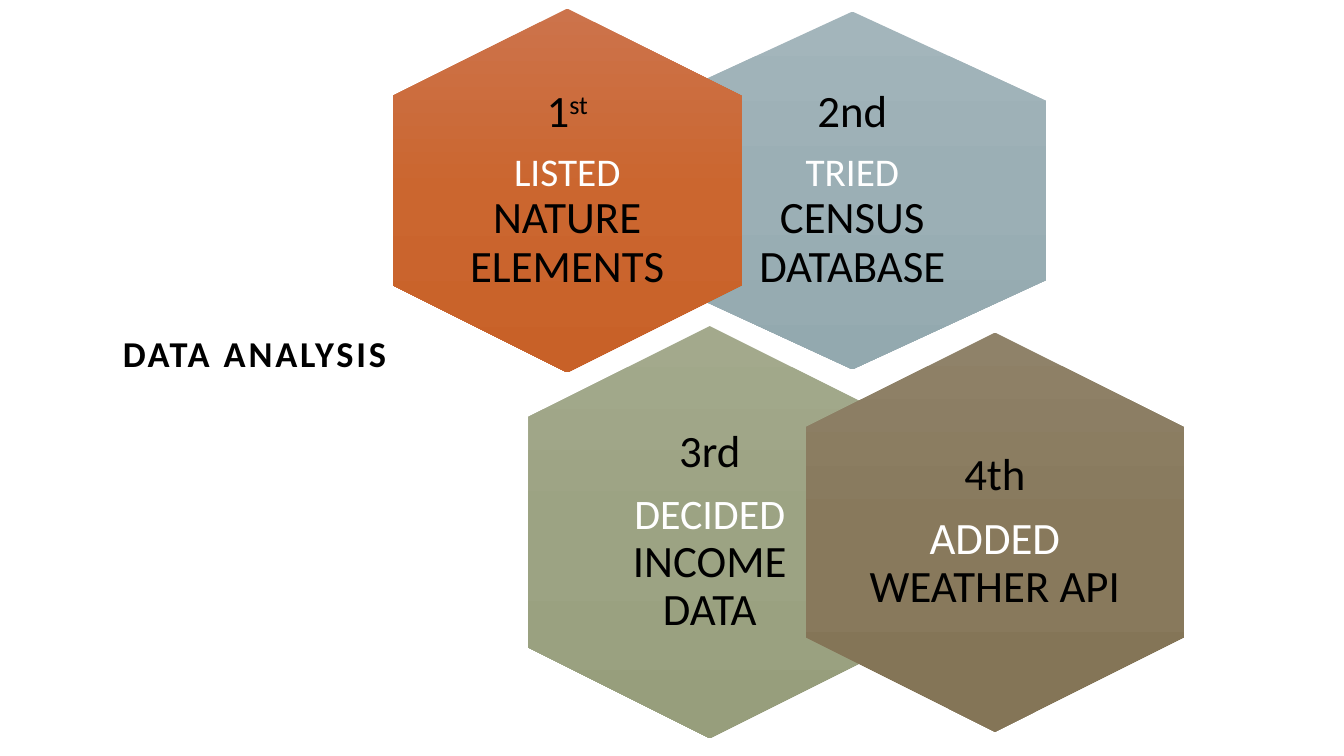
from copy import deepcopy

from pptx import Presentation
from pptx.dml.color import RGBColor
from pptx.enum.shapes import MSO_SHAPE
from pptx.enum.text import MSO_ANCHOR, MSO_AUTO_SIZE, PP_ALIGN
from pptx.oxml.ns import qn
from pptx.util import Inches, Pt

SLIDE_WIDTH, SLIDE_HEIGHT = Inches(13.33), Inches(7.5)
FONT = "Calibri"
COLORS = {
    "white": "FFFFFF",
    "black": "000000",
    "blue": ("A3B5BB", "9BAFB5", "93A9AF"),
    "orange": ("CC734B", "CB662F", "C86128"),
    "green": ("A3A98C", "9CA383", "979E7C"),
    "brown": ("8F8269", "88795C", "847557"),
}

# Honeycomb grid of hexagon centres, as shares of the slide
COLUMN_START, COLUMN_STEP = 0.422, 0.1061
ROW_CENTERS = (0.252, 0.704)

# Sizes are percentages of the slide height: hexagon (length, breadth), text (width, height)
STEPS = [
    {"cell": (2, 0), "color": "blue", "hexagon": (47.33, 51.33), "text": (34.13, 31.6),
     "inset": 0.13, "order": ("2", "nd"), "verb": "TRIED ", "verb_size": 28,
     "subject": "CENSUS DATABASE"},
    {"cell": (0, 0), "color": "orange", "hexagon": (48.13, 46.13), "text": (31.07, 32.4),
     "inset": 0, "order": ("1", "st"), "raised": True, "verb": "LISTED ", "verb_size": 28,
     "subject": "NATURE ELEMENTS"},
    {"cell": (1, 1), "color": "green", "hexagon": (54.53, 48), "text": (32.93, 37.47),
     "inset": 0.13, "order": ("3", "rd"), "verb": "DECIDED ", "verb_size": 30,
     "subject": "INCOME DATA"},
    {"cell": (3, 1), "color": "brown", "hexagon": (52.8, 50), "text": (33.73, 35.6),
     "inset": 0, "order": ("4", "th"), "verb": "ADDED ", "verb_size": 32,
     "subject": "WEATHER API"},
]


def centered_box(center, size):
    """Left, top, width and height of a box around a centre."""
    width, height = (int(SLIDE_HEIGHT * share / 100) for share in size)
    return int(center[0] - width / 2), int(center[1] - height / 2), width, height


def prepare_frame(frame, inset):
    frame.word_wrap = True
    frame.auto_size = MSO_AUTO_SIZE.NONE
    frame.vertical_anchor = MSO_ANCHOR.MIDDLE
    frame.margin_left = frame.margin_right = Inches(inset)
    frame.margin_top = frame.margin_bottom = Inches(inset)


def format_paragraph(paragraph, space_after=0):
    paragraph.alignment = PP_ALIGN.CENTER
    paragraph.line_spacing = 0.9
    paragraph.space_before = Pt(0)
    paragraph.space_after = Pt(space_after)


def format_run(run, size, color):
    run.font.name = FONT
    run.font.size = Pt(size)
    run.font.color.rgb = RGBColor.from_string(COLORS[color])


def add_run(paragraph, text, size, color):
    run = paragraph.add_run()
    run.text = text
    format_run(run, size, color)
    return run


def fill_gradient(shape, colors):
    """Three-stop gradient from top to bottom, whatever the shape's rotation."""
    shape.fill.gradient()
    shape.fill.gradient_angle = 270
    gradient = shape._element.spPr.find(qn("a:gradFill"))
    gradient.set("rotWithShape", "0")
    stop_list = gradient.find(qn("a:gsLst"))
    stop_list.append(deepcopy(stop_list[-1]))
    for index, (stop, color) in enumerate(zip(shape.fill.gradient_stops, colors)):
        stop.position = index / 2
        stop.color.rgb = RGBColor.from_string(color)


def add_title(slide, left, top, width, height):
    title = slide.shapes.title
    title.left, title.top, title.width, title.height = left, top, width, height
    title.line.color.rgb = RGBColor.from_string(COLORS["white"])
    title.line.width = Pt(2.5)
    prepare_frame(title.text_frame, 0.2)
    title.text_frame.text = "DATA ANALYSIS\v"
    paragraph = title.text_frame.paragraphs[0]
    format_paragraph(paragraph)
    for run in paragraph.runs:
        format_run(run, 26, "black")
        run.font.bold = True
        run.font._element.set("spc", "200")
    # The closing line break takes the same size as the words
    break_format = paragraph._p.find(qn("a:br")).get_or_add_rPr() if hasattr(
        paragraph._p.find(qn("a:br")), "get_or_add_rPr") else None
    if break_format is None:
        line_break = paragraph._p.find(qn("a:br"))
        line_break.append(deepcopy(paragraph.runs[0].font._element))
    paragraph.font.size = Pt(26)


def add_step(group, center, step):
    # Hexagon standing on its point
    hexagon = group.shapes.add_shape(MSO_SHAPE.HEXAGON, *centered_box(center, step["hexagon"]))
    hexagon.adjustments[0], hexagon.adjustments[1] = 0.25, 1.1547
    hexagon.rotation = 90
    hexagon.shadow.inherit = False
    hexagon.line.fill.background()
    fill_gradient(hexagon, COLORS[step["color"]])

    # Ordinal above the description
    label = group.shapes.add_textbox(*centered_box(center, step["text"]))
    prepare_frame(label.text_frame, step["inset"])
    ordinal = label.text_frame.paragraphs[0]
    description = label.text_frame.add_paragraph()
    for paragraph in (ordinal, description):
        format_paragraph(paragraph, space_after=11)
    number, suffix = step["order"]
    if step.get("raised"):
        add_run(ordinal, number, 32, "black")
        add_run(ordinal, suffix, 32, "black").font._element.set("baseline", "30000")
    else:
        add_run(ordinal, number + suffix, 32, "black")
    add_run(description, step["verb"], step["verb_size"], "white")
    add_run(description, step["subject"], 32, "black")


def add_honeycomb(slide):
    group = slide.shapes.add_group_shape()
    for step in STEPS:
        column, row = step["cell"]
        center = (SLIDE_WIDTH * (COLUMN_START + COLUMN_STEP * column),
                  SLIDE_HEIGHT * ROW_CENTERS[row])
        add_step(group, center, step)


def main():
    presentation = Presentation()
    presentation.slide_width, presentation.slide_height = SLIDE_WIDTH, SLIDE_HEIGHT
    slide = presentation.slides.add_slide(presentation.slide_layouts[5])
    slide.background.fill.solid()
    slide.background.fill.fore_color.rgb = RGBColor.from_string(COLORS["white"])
    add_title(slide, Inches(0.7), Inches(2.93), Inches(3.68), Inches(1.64))
    add_honeycomb(slide)
    presentation.save("out.pptx")


if __name__ == "__main__":
    main()
